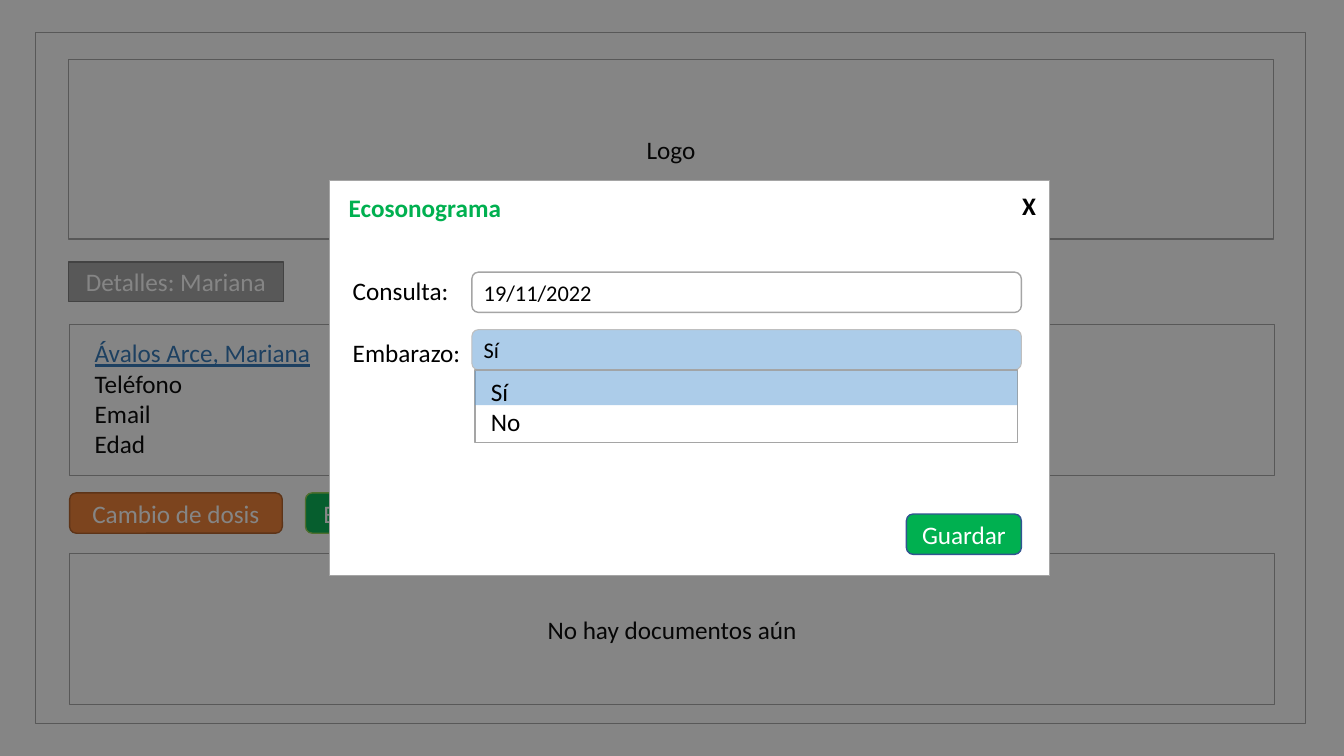
from lxml import etree
from pptx import Presentation
from pptx.dml.color import RGBColor
from pptx.enum.shapes import MSO_SHAPE
from pptx.enum.text import MSO_ANCHOR, PP_ALIGN
from pptx.oxml.ns import qn
from pptx.util import Inches, Pt

COLORS = {
    "white": "FFFFFF", "black": "000000", "veil": "0D0D0D",
    "gray": "A5A5A5", "dark gray": "7A7A7A", "light gray": "BFBFBF",
    "green": "00B050", "lime": "92D050", "orange": "ED7D31", "brown": "AF5C24",
    "blue": "5B9BD5", "link": "2E75B6", "navy": "325491",
}
RECT, ROUND = MSO_SHAPE.RECTANGLE, MSO_SHAPE.ROUNDED_RECTANGLE
BUTTON_HEIGHT = 0.4

deck = Presentation()
deck.slide_width, deck.slide_height = Inches(13.33), Inches(7.5)
page = deck.slides.add_slide(deck.slide_layouts[6])


def write(box, lines, color="black", size=18, align=PP_ALIGN.LEFT, bold=False):
    """Fill a shape or text box with one paragraph per line."""
    frame = box.text_frame
    frame.word_wrap = True
    frame.text = "\n".join(lines)
    for para in frame.paragraphs:
        para.alignment = align
        for span in para.runs:
            span.font.name = "Calibri"
            span.font.size = Pt(size)
            span.font.bold = bold
            span.font.color.rgb = RGBColor.from_string(COLORS[color])


def add_box(at, fill="white", line="gray", kind=RECT, text=None, color="black",
            size=18, align=PP_ALIGN.CENTER, alpha=None, weight=1):
    """Draw a filled shape; alpha is its opacity in percent."""
    box = page.shapes.add_shape(kind, *map(Inches, at))
    box.shadow.inherit = False
    box.fill.solid()
    box.fill.fore_color.rgb = RGBColor.from_string(COLORS[fill])
    if alpha:
        fill_color = box.fill._xPr.find(qn("a:solidFill"))[0]
        etree.SubElement(fill_color, qn("a:alpha"), val=str(alpha * 1000))
    if line:
        box.line.color.rgb = RGBColor.from_string(COLORS[line])
        box.line.width = Pt(weight)
    else:
        box.line.fill.background()
    if text:
        box.text_frame.vertical_anchor = MSO_ANCHOR.MIDDLE
        write(box, [text], color, size, align)


# Page behind the dialog
add_box((0.35, 0.32, 12.6, 6.86))
add_box((0.68, 0.59, 11.95, 1.78), text="Logo")
add_box((0.68, 2.6, 2.13, 0.39), "gray", "dark gray",
        text="Detalles: Mariana", color="white")
add_box((0.69, 3.22, 11.95, 1.5))
patient = page.shapes.add_textbox(Inches(0.84), Inches(3.3), Inches(3.12), Inches(1.31))
write(patient, ["Ávalos Arce, Mariana", "Teléfono", "Email", "Edad"])
patient_name = patient.text_frame.paragraphs[0].runs[0]
patient_name.font.underline = True
patient_name.font.color.rgb = RGBColor.from_string(COLORS["link"])
add_box((0.69, 5.49, 11.95, 1.5), text="No hay documentos aún")
for left, width, fill, line, label in (
    (0.69, 2.11, "orange", "brown", "Cambio de dosis"),
    (3.03, 1.84, "green", "lime", "Ecosonograma"),
):
    add_box((left, 4.89, width, BUTTON_HEIGHT), fill, line, ROUND, label, "white")

# Dimming veil and dialog
add_box((0, 0, 13.33, 7.5), "veil", None, alpha=50)
add_box((3.27, 1.79, 7.14, 3.92))
for left, top, width, label, color, bold in (
    (3.36, 1.86, 1.98, "Ecosonograma", "green", True),
    (10.04, 1.84, 0.34, "X", "black", True),
    (3.4, 2.68, 1.91, "Consulta:", "black", False),
    (3.4, 3.3, 1.91, "Embarazo:", "black", False),
):
    caption = page.shapes.add_textbox(*map(Inches, (left, top, width, 0.4)))
    write(caption, [label], color, bold=bold)

# Form fields
add_box((4.68, 2.7, 5.45, BUTTON_HEIGHT), kind=ROUND, text="19/11/2022",
        size=16, align=PP_ALIGN.LEFT)
add_box((4.68, 3.27, 5.45, BUTTON_HEIGHT), "blue", "light gray", ROUND, "Sí",
        size=16, align=PP_ALIGN.LEFT, alpha=50, weight=0.75)

# Open drop-down list
add_box((4.71, 3.67, 5.38, 0.72))
add_box((4.71, 3.68, 5.38, 0.34), "blue", None, alpha=50)
options = page.shapes.add_textbox(Inches(4.77), Inches(3.68), Inches(1.35), Inches(0.71))
write(options, ["Sí", "No"])

add_box((8.99, 5.1, 1.14, BUTTON_HEIGHT), "green", "navy", ROUND, "Guardar", "white")

deck.save("out.pptx")
